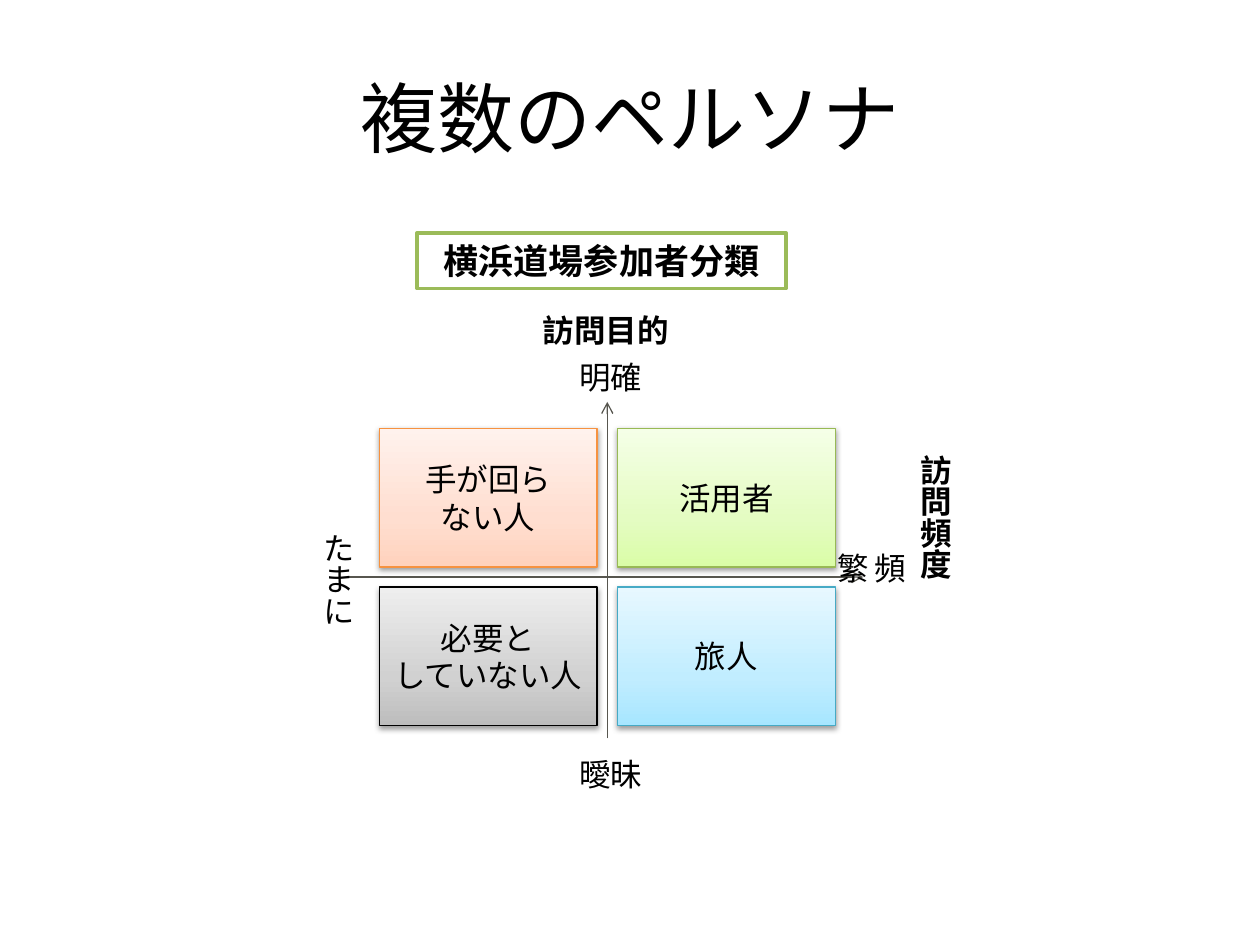
from lxml import etree
from pptx import Presentation
from pptx.dml.color import RGBColor
from pptx.enum.shapes import MSO_CONNECTOR, MSO_SHAPE
from pptx.enum.text import MSO_ANCHOR, PP_ALIGN
from pptx.oxml.ns import qn
from pptx.util import Inches, Pt

JP_FONT = "Noto Sans CJK JP"
BLACK = "000000"
AXIS = "57564F"


def rgb(value):
    return RGBColor.from_string(value)


def sub(parent, tag, **attrs):
    return etree.SubElement(parent, qn(tag), attrs)


def write(shape, text, size=18, bold=False, font=JP_FONT,
          anchor=MSO_ANCHOR.TOP, wrap=True):
    """Fill a shape with centred text, one paragraph per line."""
    frame = shape.text_frame
    frame.text = text
    frame.word_wrap = wrap
    frame.vertical_anchor = anchor
    for paragraph in frame.paragraphs:
        paragraph.alignment = PP_ALIGN.CENTER
        run = paragraph.runs[0]
        run.font.size = Pt(size)
        run.font.bold = bold
        run.font.name = font
        run.font.color.rgb = rgb(BLACK)
        east_asian = etree.Element(qn("a:ea"), typeface=JP_FONT)
        run.font._element.find(qn("a:latin")).addnext(east_asian)


def add_label(slide, box, text, bold=False, vertical=False, wrap=True):
    label = slide.shapes.add_textbox(*map(Inches, box))
    write(label, text, bold=bold, wrap=wrap)
    if vertical:
        label.text_frame._txBody.bodyPr.set("vert", "eaVert")


def add_axis(slide, *ends):
    axis = slide.shapes.add_connector(MSO_CONNECTOR.STRAIGHT, *map(Inches, ends))
    axis.line.color.rgb = rgb(AXIS)
    axis.line.width = Pt(0.75)
    sub(axis.line._get_or_add_ln(), "a:tailEnd", type="arrow")
    sub(axis._element.spPr, "a:effectLst")


def add_box(slide, box, line, width):
    shape = slide.shapes.add_shape(MSO_SHAPE.RECTANGLE, *map(Inches, box))
    shape.shadow.inherit = False
    shape.line.color.rgb = rgb(line)
    shape.line.width = Pt(width)
    return shape


def add_quadrant(slide, box, text, line, colors):
    quadrant = add_box(slide, box, line, 0.75)
    properties = quadrant._element.spPr

    # Gradient running from the bottom edge to the top
    quadrant.fill.gradient()
    quadrant.fill.gradient_angle = 90
    stops = properties.find(qn("a:gradFill")).find(qn("a:gsLst"))
    for stop in list(stops):
        stops.remove(stop)
    for position, color in zip((0, 35, 100), colors):
        stop = sub(stops, "a:gs", pos=str(position * 1000))
        sub(stop, "a:srgbClr", val=color)

    # Soft shadow below
    shadow = sub(properties.find(qn("a:effectLst")), "a:outerShdw",
                 blurRad="40000", dist="20000", dir="5400000", rotWithShape="0")
    sub(sub(shadow, "a:srgbClr", val=BLACK), "a:alpha", val="38000")

    write(quadrant, text, anchor=MSO_ANCHOR.MIDDLE, wrap=False)


def main():
    prs = Presentation()
    prs.slide_width, prs.slide_height = Inches(10), Inches(7.5)
    slide = prs.slides.add_slide(prs.slide_layouts[5])

    # Title
    title = slide.shapes.title
    title.left, title.top, title.width, title.height = map(
        Inches, (0.5, 0.3, 9, 1.25))
    write(title, "複数のペルソナ", 44, font="Calibri", anchor=MSO_ANCHOR.MIDDLE)

    # Axes
    add_axis(slide, 2.76, 4.58, 6.85, 4.58)
    add_axis(slide, 4.82, 5.86, 4.82, 3.19)

    # Axis names and ends
    add_label(slide, (4.18, 2.42, 1.26, 0.4), "訪問目的", bold=True)
    add_label(slide, (7.12, 3.51, 0.5, 1.97), "訪問頻度", bold=True, vertical=True)
    add_label(slide, (2.38, 4.13, 0.5, 1.03), "たまに", vertical=True)
    add_label(slide, (6.76, 4.29, 0.5, 0.63), "頻繁", vertical=True)
    add_label(slide, (4.49, 5.94, 0.71, 0.4), "曖昧")
    add_label(slide, (4.49, 2.79, 0.71, 0.4), "明確", wrap=False)

    # Quadrants: column, row, text, outline, gradient from bottom to top
    quadrants = [
        (1, 0, "活用者", "98B955", ("DAFDA7", "E4FCC2", "F5FFE7")),
        (1, 1, "旅人", "46AAC5", ("A7E6FF", "C1EDFF", "E7F8FF")),
        (0, 1, "必要と\nしていない人", BLACK, ("BDBDBD", "D1D1D1", "EEEEEE")),
        (0, 0, "手が回ら\nない人", "F69240", ("FFD2BD", "FFDED0", "FFF2ED")),
    ]
    for column, row, text, line, colors in quadrants:
        box = (3.01 + 1.89 * column, 3.4 + 1.26 * row, 1.73, 1.1)
        add_quadrant(slide, box, text, line, colors)

    # Chart heading
    heading = add_box(slide, (3.31, 1.85, 2.93, 0.44), "9BBB59", 2)
    heading.fill.solid()
    heading.fill.fore_color.rgb = rgb("FFFFFF")
    write(heading, "横浜道場参加者分類", 20, bold=True, font="Calibri")

    prs.save("out.pptx")


main()
